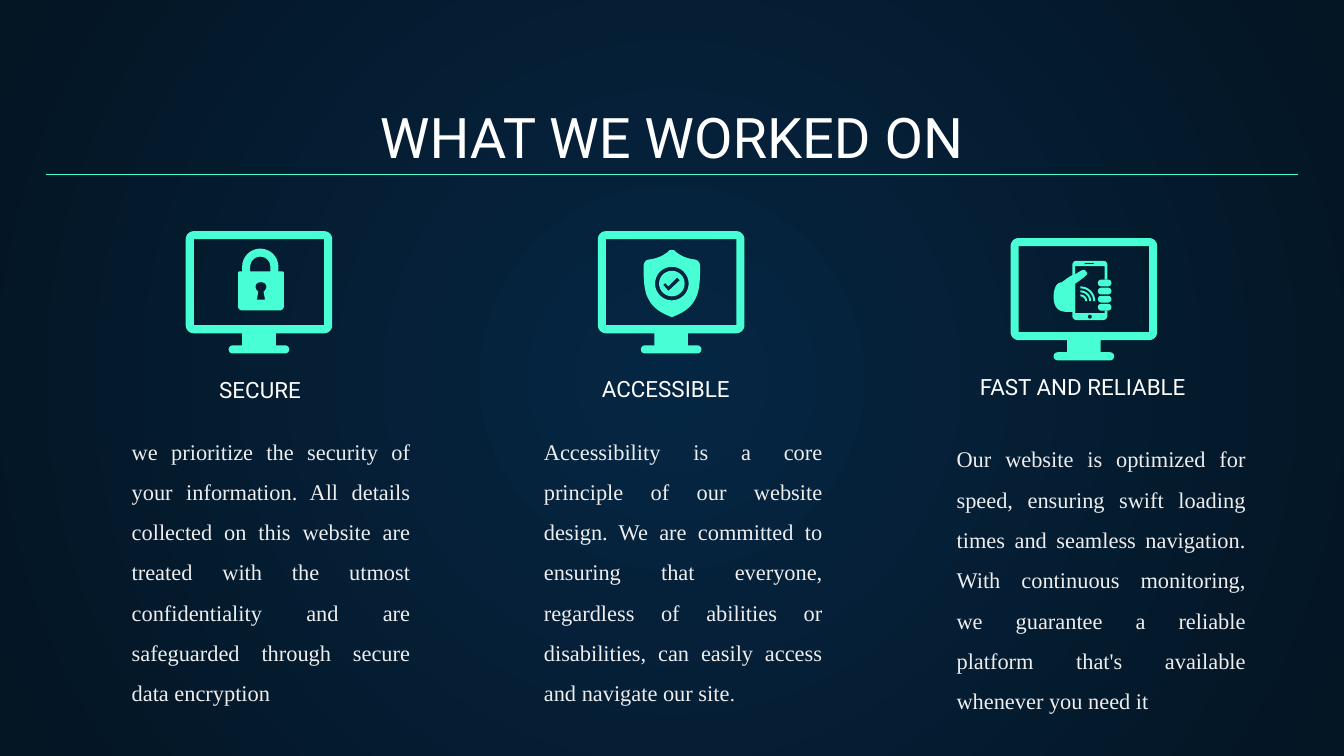
from math import cos, pi, sin

from lxml.etree import SubElement
from pptx import Presentation
from pptx.dml.color import RGBColor
from pptx.enum.shapes import MSO_CONNECTOR
from pptx.enum.text import MSO_ANCHOR as Anchor, PP_ALIGN as Align
from pptx.oxml.ns import qn
from pptx.util import Cm, Pt

rgb = RGBColor.from_string
ACCENT, WHITE, PALE = "48FFD5", "FFFFFF", "EEEEEE"
UNIT = Cm(0.0254)  # icon grid


def rounded(x, y, width, height, top=0, bottom=None):
    """Points of a box with one radius for its top and one for its bottom corners."""
    bottom = top if bottom is None else bottom
    corners = [
        (x + width - bottom, y + height - bottom, bottom, 0),
        (x + bottom, y + height - bottom, bottom, 1),
        (x + top, y + top, top, 2),
        (x + width - top, y + top, top, 3),
    ]
    return [
        (cx + r * cos((turn + step / 8) * pi / 2), cy + r * sin((turn + step / 8) * pi / 2))
        for cx, cy, r, turn in corners
        for step in range(9 if r else 1)
    ]


def curve(start, *bends):
    """Points along joined cubic curves; each bend is two handles and an end."""
    points = [start]
    for a, b, end in bends:
        first = points[-1]
        for t in (step / 8 for step in range(1, 9)):
            weights = ((1 - t) ** 3, 3 * t * (1 - t) ** 2, 3 * t * t * (1 - t), t ** 3)
            points.append(tuple(
                sum(w * p[axis] for w, p in zip(weights, (first, a, b, end)))
                for axis in (0, 1)
            ))
    return points


prs = Presentation()
prs.slide_width, prs.slide_height = Cm(25.4), Cm(14.29)
slide = prs.slides.add_slide(prs.slide_layouts[6])

# Background glow
backdrop = slide.background.fill
backdrop.gradient()
for stop, tone in zip(backdrop.gradient_stops, ("052643", "041523")):
    stop.color.rgb = rgb(tone)
linear = slide.element.find(".//" + qn("a:lin"))
gradient = linear.getparent()
gradient.remove(linear)
glow = SubElement(gradient, qn("a:path"), path="circle")
SubElement(glow, qn("a:fillToRect"), l="50000", t="50000", r="50000", b="50000")

# Texts: left, top, width, height, runs of (text, size)
headings = [
    (0.86, 1.78, 23.67, 1.68, [("WHAT WE WORKED ON", 30)]),
    (2.03, 6.93, 5.77, 0.94, [("SECURE", 12)]),
    (9.7, 6.81, 5.77, 1.04, [("ACCESSIBLE", 12)]),
    (17.58, 6.96, 5.77, 0.86, [("FAST AND RELIABLE", 12)]),
]
descriptions = [
    (2.24, 7.77, 5.77, 5.49, [(
        "we prioritize the security of your information. All details collected on this "
        "website are treated with the utmost confidentiality and are safeguarded through "
        "secure data encryption", 12)]),
    (10.03, 7.77, 5.77, 6.3, [(
        "Accessibility is a core principle of our website design. We are committed to "
        "ensuring that everyone, regardless of abilities or disabilities, can easily "
        "access and navigate our site", 12), (". ", 11)]),
    (17.83, 7.92, 5.97, 6.3, [(
        "Our website is optimized for speed, ensuring swift loading times and seamless "
        "navigation. With continuous monitoring, we guarantee a reliable platform that's "
        "available whenever you need it", 12)]),
]
for texts, font, color, anchor, align, spacing in (
    (headings, "Roboto", WHITE, Anchor.BOTTOM, Align.CENTER, 1.0),
    (descriptions, "Times New Roman", PALE, Anchor.TOP, Align.JUSTIFY, 1.5),
):
    for left, top, width, height, runs in texts:
        frame = slide.shapes.add_textbox(Cm(left), Cm(top), Cm(width), Cm(height)).text_frame
        frame.word_wrap = True
        frame.vertical_anchor = anchor
        frame.margin_left = frame.margin_right = Cm(0.25)
        frame.margin_top = frame.margin_bottom = Cm(0.25)
        paragraph = frame.paragraphs[0]
        paragraph.alignment = align
        paragraph.line_spacing = spacing
        for words, size in runs:
            run = paragraph.add_run()
            run.text = words
            run.font.name = font
            run.font.size = Pt(size)
            run.font.color.rgb = rgb(color)

# Icon outlines in grid units from the monitor's top left; nested outlines are holes
monitor = [
    rounded(0, 0, 109, 76, 6),
    rounded(6, 6, 97, 64),
    rounded(42, 76, 25, 9),
    rounded(32, 85, 45, 6, 3),
]
keyhole = curve(
    (54, 45), ((51, 43), (51, 38), (56, 38)), ((61, 38), (61, 43), (58, 45))
) + [(59, 51), (53, 51)]
padlock = [
    rounded(42, 13, 27, 17, 13.5, 0),
    rounded(48, 19, 15, 11, 7.5, 0),
    rounded(39, 30, 34, 29, 1, 3),
    keyhole,
]
shield_half = curve(
    (55, 14),
    ((56, 14), (57, 14), (57.5, 15)),
    ((61, 18), (65, 20), (71, 21)),
    ((74, 21), (76, 23), (76, 26)),
    ((76, 33), (76, 41), (74, 47)),
    ((71, 55), (66, 60), (55, 64)),
)
shield = [
    shield_half + [(110 - x, y) for x, y in reversed(shield_half)],
    rounded(42.5, 26.5, 25, 25, 12.5),
    rounded(45.5, 29.5, 19, 19, 9.5),
    [(48.5, 40), (50, 38.5), (52.5, 41), (59, 34.5), (61, 36.5), (52.5, 44.5)],
]
phone = [
    rounded(46, 17, 26, 44, 3),
    rounded(48, 21, 22, 35),
    rounded(70, 31, 2, 23),
    rounded(55, 18.5, 7, 1, 0.5),
    rounded(57.5, 57, 3, 3, 1.5),
]
palm = curve(
    (48, 27),
    ((44, 28), (41, 31), (38, 33)),
    ((35, 33), (32, 36), (32, 44)),
    ((32, 52), (36, 55), (42, 55)),
) + curve(
    (48, 55),
    ((48, 48), (48, 41), (48, 34)),
    ((51, 32), (54, 30), (57, 27)),
    ((57, 25), (55, 23), (53, 24)),
)
fingers = [rounded(65, 31 + 6 * row, 10, 5, 2.4) for row in range(4)]
quarter = [step / 8 * pi / 2 for step in range(9)]
signal = [
    [(52 + r * sin(a), 47 - r * cos(a)) for a in quarter]
    + [(52 + (r - 1.5) * sin(a), 47 - (r - 1.5) * cos(a)) for a in reversed(quarter)]
    for r in (5, 8, 11)
]

for left, top, outlines in (
    (3.51, 4.37, monitor),
    (3.51, 4.37, padlock),
    (11.3, 4.37, monitor),
    (11.3, 4.37, shield),
    (19.1, 4.5, monitor),
    (19.1, 4.5, phone),
    (19.1, 4.5, [palm] + fingers + signal),
):
    scaled = [[(x * UNIT, y * UNIT) for x, y in outline] for outline in outlines]
    builder = slide.shapes.build_freeform(*scaled[0][0])
    for outline in scaled:
        if outline is not scaled[0]:
            builder.move_to(*outline[0])
        builder.add_line_segments(outline[1:], close=True)
    icon = builder.convert_to_shape(Cm(left), Cm(top))
    icon.shadow.inherit = False
    icon.fill.solid()
    icon.fill.fore_color.rgb = rgb(ACCENT)
    icon.line.fill.background()

# Rule under the title
rule = slide.shapes.add_connector(MSO_CONNECTOR.STRAIGHT, Cm(0.86), Cm(3.3), Cm(24.54), Cm(3.3))
rule.line.color.rgb = rgb(ACCENT)
rule.line.width = Pt(0.75)
SubElement(rule.element.spPr, qn("a:effectLst"))

prs.save("out.pptx")
